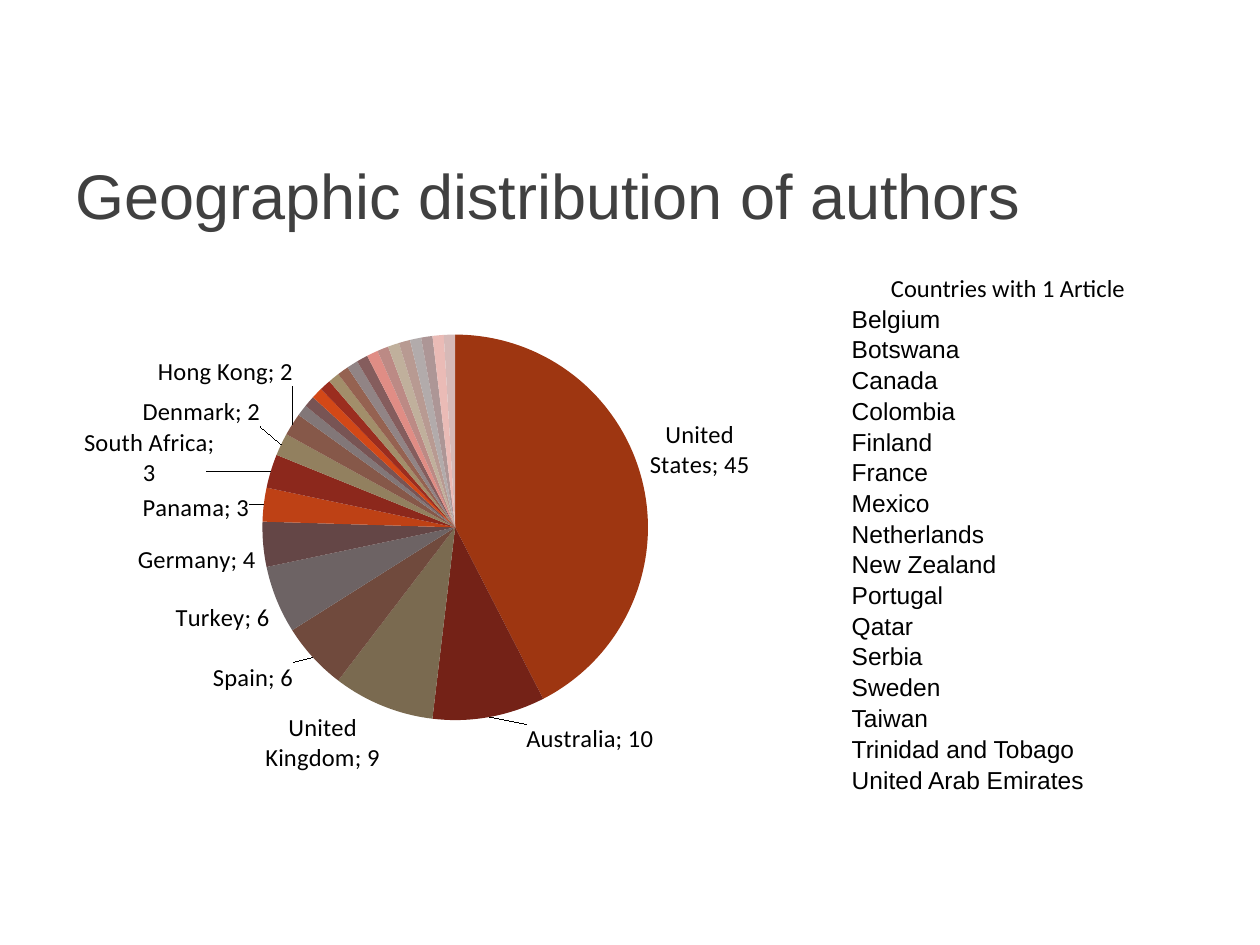
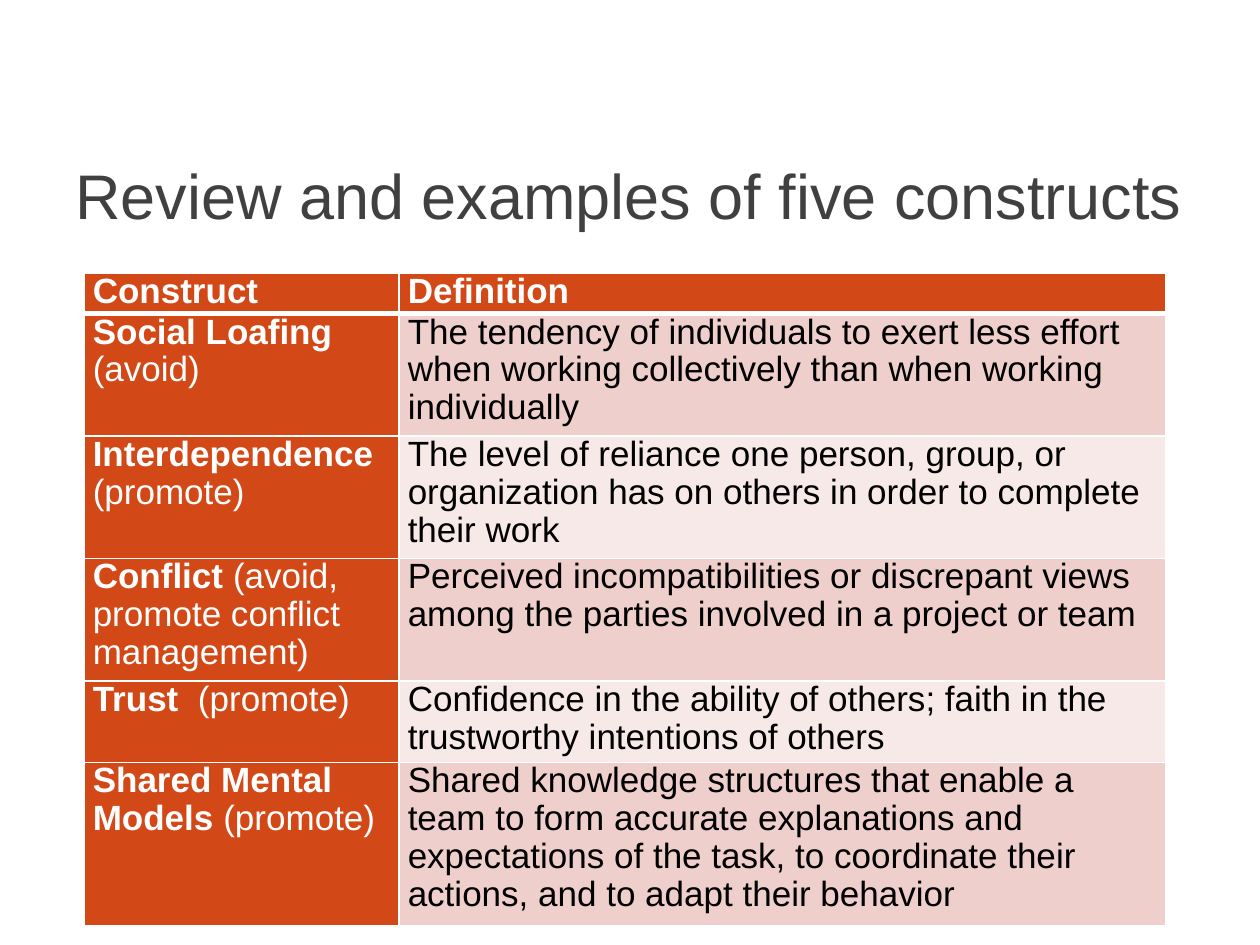
from copy import deepcopy
from lxml.etree import fromstring
from pptx import Presentation
from pptx.chart.data import CategoryChartData
from pptx.dml.color import RGBColor
from pptx.enum.chart import XL_CHART_TYPE as ChartType, XL_LABEL_POSITION as LabelPosition
from pptx.enum.text import MSO_ANCHOR as Anchor, PP_ALIGN as Align
from pptx.oxml import parse_xml
from pptx.oxml.ns import nsdecls, qn
from pptx.util import Pt

ORANGE, PALE, PALER = "D34817", "EFCFCC", "F7E9E8"
WHITE, BLACK, GRAY = "FFFFFF", "000000", "404040"
ACCENTS = [ORANGE, "9B2D1F", "A28E6A", "956251", "918485", "855D5D"]
TINTS = ["E08D85", "BC8A85", "C0B09C", "B89A92", "B2ABAB", "AD9696", "EABBB6", "D6B9B7"]


def color(value, shade=1):
    return RGBColor(*[round(channel * shade) for channel in RGBColor.from_string(value)])


def style(font, size, fill, name="Arial", bold=False):
    font.size, font.name, font.bold = Pt(size), name, bold
    font.color.rgb = color(fill)


presentation = Presentation()
presentation.slide_width, presentation.slide_height = Pt(720), Pt(540)
slides = []
for title in ["Geographic distribution of authors", "Review and examples of five constructs"]:
    slide = presentation.slides.add_slide(presentation.slide_layouts[6])
    shape = slide.shapes.add_textbox(Pt(36), Pt(66), Pt(648), Pt(90))
    text_frame = shape.text_frame
    text_frame.word_wrap = True
    text_frame.vertical_anchor = Anchor.MIDDLE
    text_frame.text = title
    style(text_frame.paragraphs[0].runs[0].font, 36, GRAY)
    slides.append(slide)
authors_slide, constructs_slide = slides

single_article_countries = [
    "Belgium", "Botswana", "Canada", "Colombia", "Finland", "France", "Mexico", "Netherlands",
    "New Zealand", "Portugal", "Qatar", "Serbia", "Sweden", "Taiwan", "Trinidad and Tobago",
    "United Arab Emirates",
]
rows = ["Countries with 1 Article"] + single_article_countries
table = authors_slide.shapes.add_table(len(rows), 1, Pt(486), Pt(156), Pt(180), Pt(15 * len(rows))).table
table.first_row = table.horz_banding = False
for index, text in enumerate(rows):
    cell = table.cell(index, 0)
    cell.fill.background()
    cell.margin_left = cell.margin_right = cell.margin_top = Pt(0.72)
    cell.margin_bottom = Pt(0)
    cell.vertical_anchor = Anchor.MIDDLE
    cell.text = text
    paragraph = cell.text_frame.paragraphs[0]
    paragraph.alignment = Align.LEFT if index else Align.CENTER
    style(paragraph.runs[0].font, 14, BLACK, "Arial" if index else "Calibri")
table.cell(len(rows) - 1, 0).vertical_anchor = Anchor.BOTTOM

articles = {
    "United States": 45, "Australia": 10, "United Kingdom": 9, "Spain": 6, "Turkey": 6,
    "Germany": 4, "Panama": 3, "South Africa": 3, "Denmark": 2, "Hong Kong": 2,
}
articles.update((country, 1) for country in single_article_countries)
chart_data = CategoryChartData()
chart_data.categories = list(articles)
chart_data.add_series("Series 1", list(articles.values()))
chart = authors_slide.shapes.add_chart(ChartType.PIE, Pt(48), Pt(180), Pt(408), Pt(276), chart_data).chart
chart.has_legend = chart.has_title = False
style(chart.font, 12, BLACK, "Calibri")
plot = chart.plots[0]
plot.vary_by_categories = True
series = plot.series[0]
for index in range(len(articles)):
    fill = series.points[index].format.fill
    fill.solid()
    if index < 18:
        fill.fore_color.rgb = color(ACCENTS[index % 6], [0.75, 0.9, 1][index // 6])
    else:
        fill.fore_color.rgb = color(TINTS[index - 18])

plot_area = chart._chartSpace.chart.plotArea
for layout in plot_area.findall(qn("c:layout")):
    plot_area.remove(layout)
plot_area.insert(0, parse_xml(
    f'<c:layout {nsdecls("c")}><c:manualLayout><c:layoutTarget val="inner"/>'
    '<c:xMode val="edge"/><c:yMode val="edge"/><c:x val="0.25"/><c:y val="0.04"/>'
    '<c:w val="0.54"/><c:h val="0.8"/></c:manualLayout></c:layout>'))

labels = series.data_labels
style(labels.font, 14, BLACK, "Calibri")
labels.show_value = labels.show_category_name = True
labels.show_percentage = False
labels.position = LabelPosition.OUTSIDE_END
labels_xml = labels._element
separator = parse_xml(f'<c:separator {nsdecls("c")}>; </c:separator>')
labels_xml.find(qn("c:showBubbleSize")).addnext(separator)
leader_lines = labels_xml.find(qn("c:showLeaderLines"))
if leader_lines is None:
    leader_lines = parse_xml(f'<c:showLeaderLines {nsdecls("c")}/>')
    separator.addnext(leader_lines)
leader_lines.set("val", "1")
shared_settings = [child for child in labels_xml if child is not leader_lines]

label_offsets = {
    "Australia": (0.05, 0), "Spain": (-0.02, 0), "Panama": (-0.01, 0.04), "South Africa": (-0.08, 0.04),
    "Denmark": (-0.02, -0.03), "Hong Kong": (0.01, -0.07),
}
position = 0
for index, country in enumerate(articles):
    if country in label_offsets:
        x, y = label_offsets[country]
        content = f'<c:layout><c:manualLayout><c:x val="{x}"/><c:y val="{y}"/></c:manualLayout></c:layout>'
    elif country in single_article_countries:
        content = '<c:delete val="1"/>'
    else:
        continue
    label = parse_xml(f'<c:dLbl {nsdecls("c")}><c:idx val="{index}"/>{content}</c:dLbl>')
    if country in label_offsets:
        label.extend(deepcopy(setting) for setting in shared_settings)
    labels_xml.insert(position, label)
    position += 1

constructs = [
    ("Construct", "", "Definition"),
    ("Social Loafing ", "(avoid)",
     "The tendency of individuals to exert less effort when working collectively than when working individually"),
    ("Interdependence ", "(promote)",
     "The level of reliance one person, group, or organization has on others in order to complete their work"),
    ("Conflict ", "(avoid, promote conflict management)",
     "Perceived incompatibilities or discrepant views among the parties involved in a project or team"),
    ("Trust  ", "(promote)",
     "Confidence in the ability of others; faith in the trustworthy intentions of others"),
    ("Shared Mental Models ", "(promote)",
     "Shared knowledge structures that enable a team to form accurate explanations and expectations "
     "of the task, to coordinate their actions, and to adapt their behavior"),
]
line_counts = [1, 3, 3, 3, 2, 4]
table = constructs_slide.shapes.add_table(len(constructs), 2, Pt(48), Pt(156), Pt(618), Pt(356)).table
table.columns[0].width, table.columns[1].width = Pt(180), Pt(438)
for row, (name, advice, definition) in enumerate(constructs):
    table.rows[row].height = Pt(22.3 * line_counts[row])
    for column, text in enumerate([name, definition]):
        cell = table.cell(row, column)
        heading = row == 0 or column == 0
        cell.margin_left = cell.margin_right = Pt(5.04)
        cell.margin_top = cell.margin_bottom = Pt(0)
        cell.text = text
        paragraph = cell.text_frame.paragraphs[0]
        paragraph.line_spacing = 0.97
        style(paragraph.runs[0].font, 20, WHITE if heading else BLACK, bold=heading)
        if column == 0 and advice:
            run = paragraph.add_run()
            run.text = advice
            style(run.font, 20, WHITE)
        cell.fill.solid()
        cell.fill.fore_color.rgb = color(ORANGE if heading else PALE if row % 2 else PALER)
        properties = cell._tc.get_or_add_tcPr()
        for order, side in enumerate("LRTB"):
            thick = (row, side) in [(0, "B"), (1, "T")]
            properties.insert(order, parse_xml(
                f'<a:ln{side} {nsdecls("a")} w="{Pt(3 if thick else 1)}"><a:solidFill>'
                f'<a:srgbClr val="{WHITE}"/></a:solidFill></a:ln{side}>'))

presentation.save("out.pptx")
